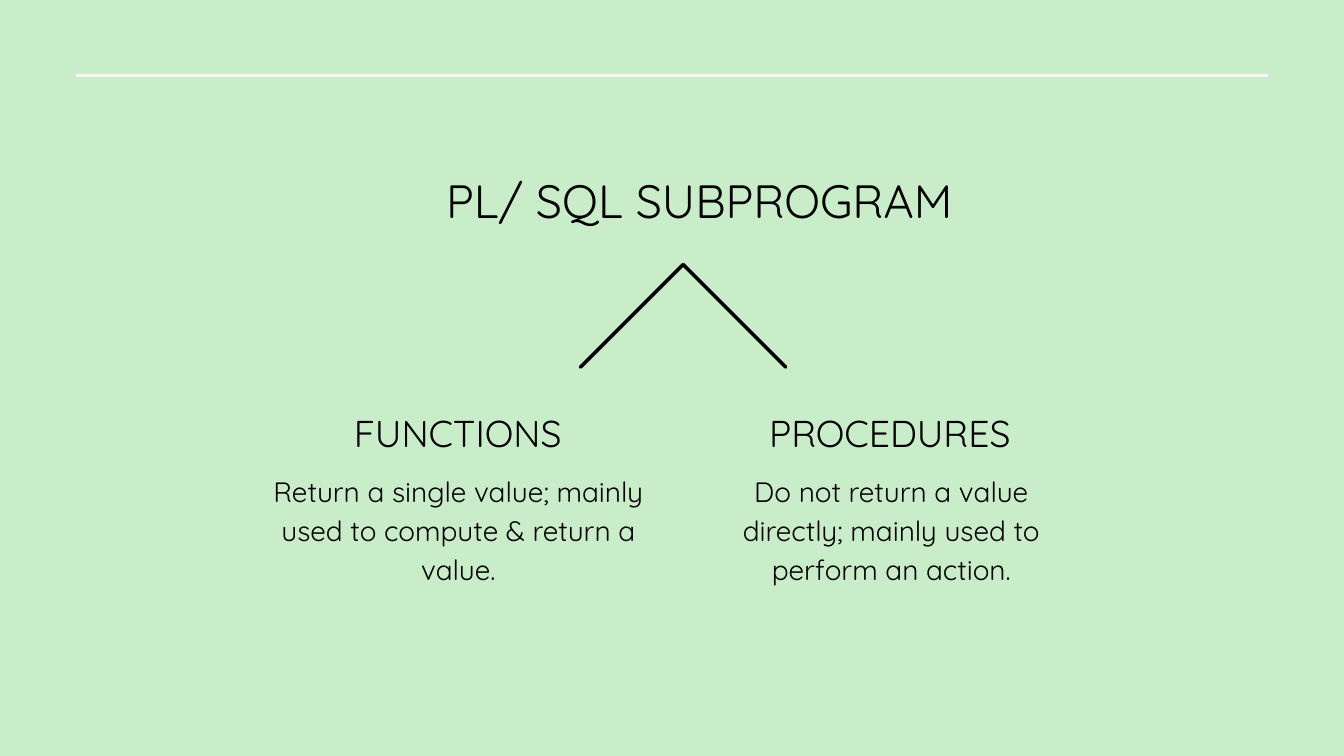
from dataclasses import dataclass

from lxml import etree
from pptx import Presentation
from pptx.dml.color import RGBColor
from pptx.enum.shapes import MSO_CONNECTOR, MSO_SHAPE
from pptx.enum.text import MSO_AUTO_SIZE, PP_ALIGN
from pptx.oxml.ns import qn
from pptx.util import Cm, Pt

RECT = MSO_SHAPE.RECTANGLE
STRAIGHT = MSO_CONNECTOR.STRAIGHT
CENTER = PP_ALIGN.CENTER
GROW = MSO_AUTO_SIZE.SHAPE_TO_FIT_TEXT

FONT = "Quicksand"
BLACK, MINT, PALE = "000000", "C9EDC9", "F6F6F6"
WIDTH = 50.8
HEAD_TOP, BODY_TOP = 15.21, 17.72
APEX_X, APEX_Y, SPREAD = 25.82, 10, 3.88


@dataclass
class Label:
    text: str
    left: float
    top: float
    width: float
    height: float
    size: int


LABELS = [
    Label("PL/ SQL SUBPROGRAM ", 16.71, 6.15, 19.94, 2.39, 50),
    Label("PROCEDURES", 29.01, HEAD_TOP, 9.25, 1.88, 40),
    Label("FUNCTIONS", 13.34, HEAD_TOP, 7.92, 1.83, 40),
    Label("Return a single value; mainly used to compute & return a value.",
          10.29, BODY_TOP, 14.07, 4.42, 30),
    Label("Do not return a value directly; mainly used to perform an action.",
          26.92, BODY_TOP, 13.54, 4.42, 30),
]


def color(code: str) -> RGBColor:
    return RGBColor.from_string(code)


def add_label(slide, label: Label) -> None:
    box = slide.shapes.add_textbox(Cm(label.left), Cm(label.top),
                                   Cm(label.width), Cm(label.height))
    frame = box.text_frame
    frame.word_wrap = True
    frame.auto_size = GROW
    frame.margin_left = frame.margin_right = 0
    frame.margin_top = frame.margin_bottom = 0
    para = frame.paragraphs[0]
    para.text = label.text
    para.alignment = CENTER
    para.line_spacing = Pt(label.size * 1.4)
    para.font.name = FONT
    para.font.size = Pt(label.size)
    para.font.color.rgb = color(BLACK)


def add_branch(slide, shift: float) -> None:
    branch = slide.shapes.add_connector(
        STRAIGHT, Cm(APEX_X), Cm(APEX_Y),
        Cm(APEX_X + shift), Cm(APEX_Y + SPREAD))
    branch.line.width = Pt(3.75)
    branch.line.color.rgb = color(BLACK)
    branch.line._get_or_add_ln().set("cap", "rnd")
    etree.SubElement(branch._element.spPr, qn("a:effectLst"))


def add_rule(slide) -> None:
    width = 45.09
    rule = slide.shapes.add_shape(RECT, Cm((WIDTH - width) / 2), Cm(2.79),
                                  Cm(width), Cm(0.12))
    rule.shadow.inherit = False
    rule.fill.solid()
    rule.fill.fore_color.rgb = color(PALE)
    rule.line.fill.background()


def main() -> None:
    deck = Presentation()
    deck.slide_width = Cm(WIDTH)
    deck.slide_height = Cm(WIDTH * 9 / 16)
    slide = deck.slides.add_slide(deck.slide_layouts[6])

    # Background and top rule
    slide.background.fill.solid()
    slide.background.fill.fore_color.rgb = color(MINT)
    add_rule(slide)

    # Branches from the title to both kinds
    for shift in (-SPREAD, SPREAD):
        add_branch(slide, shift)

    # Title, headings and descriptions
    for label in LABELS:
        add_label(slide, label)

    deck.save("out.pptx")


if __name__ == "__main__":
    main()
